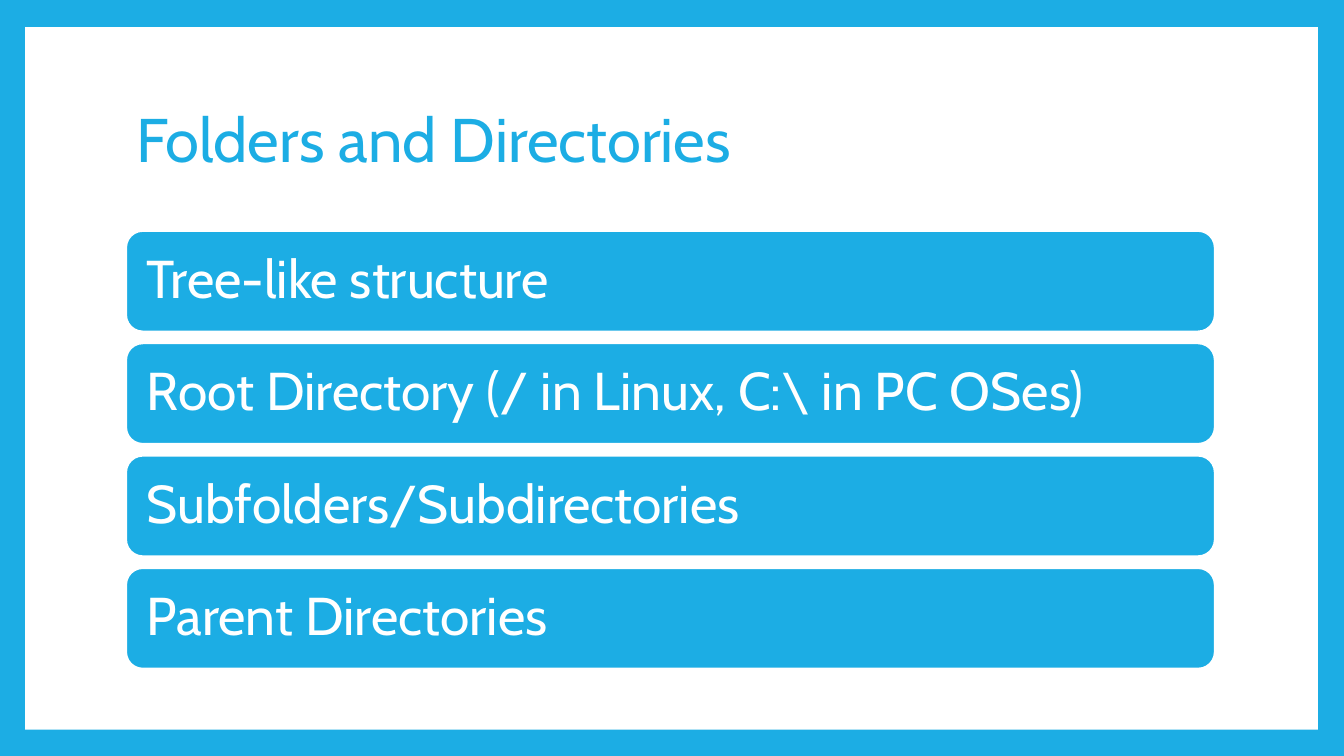
from pptx import Presentation
from pptx.dml.color import RGBColor
from pptx.enum.shapes import MSO_SHAPE as SHAPE
from pptx.enum.text import MSO_ANCHOR as ANCHOR, PP_ALIGN as ALIGN
from pptx.util import Inches, Pt

COLORS = {"blue": "1CADE4", "white": "FFFFFF"}
FONT = "Cabin"
TOPICS = [
    "Tree-like structure",
    "Root Directory (/ in Linux, C:\\ in PC OSes)",
    "Subfolders/Subdirectories",
    "Parent Directories",
]
LEFT, WIDTH = 1.25, 10.8
BAR_TOP, BAR_HEIGHT, BAR_STEP = 2.29, 1, 1.115


def color(name):
    """Return the named colour."""
    return RGBColor.from_string(COLORS[name])


def write(sp, text, size, fill, inset=0.1):
    """Write one left-aligned, vertically centred paragraph into a shape."""
    tf = sp.text_frame
    tf.word_wrap = True
    tf.vertical_anchor = ANCHOR.MIDDLE
    tf.margin_left = tf.margin_right = Inches(inset)
    p = tf.paragraphs[0]
    p.alignment = ALIGN.LEFT
    p.line_spacing = 0.9
    r = p.add_run()
    r.text = text
    r.font.name = FONT
    r.font.size = Pt(size)
    r.font.color.rgb = color(fill)


def add_block(s, kind, box, fill, line=None):
    """Add a filled preset shape, outlined if a line colour is given."""
    sp = s.shapes.add_shape(kind, *map(Inches, box))
    sp.shadow.inherit = False
    sp.fill.solid()
    sp.fill.fore_color.rgb = color(fill)
    if line:
        sp.line.color.rgb = color(line)
        sp.line.width = Pt(1.5)
    else:
        sp.line.fill.background()
    return sp


def add_title(s, text):
    """Place and format the title placeholder."""
    title = s.shapes.title
    title.left, title.top = Inches(LEFT), Inches(0.67)
    title.width, title.height = Inches(WIDTH), Inches(1.48)
    write(title, text, 44, "blue")
    return title


def main():
    """Build the slide and save it."""
    prs = Presentation()
    prs.slide_width, prs.slide_height = Inches(13.33), Inches(7.5)
    s = prs.slides.add_slide(prs.slide_layouts[5])
    s.background.fill.solid()
    s.background.fill.fore_color.rgb = color("blue")

    panel = add_block(s, SHAPE.RECTANGLE, (0.25, 0.27, 12.82, 6.97), "white")
    title = add_title(s, "Folders and Directories")
    title.element.addprevious(panel.element)

    for i, topic in enumerate(TOPICS):
        box = (LEFT, BAR_TOP + i * BAR_STEP, WIDTH, BAR_HEIGHT)
        bar = add_block(s, SHAPE.ROUNDED_RECTANGLE, box, "blue", "white")
        write(bar, topic, 38, "white", inset=0.16)

    prs.save("out.pptx")


if __name__ == "__main__":
    main()
